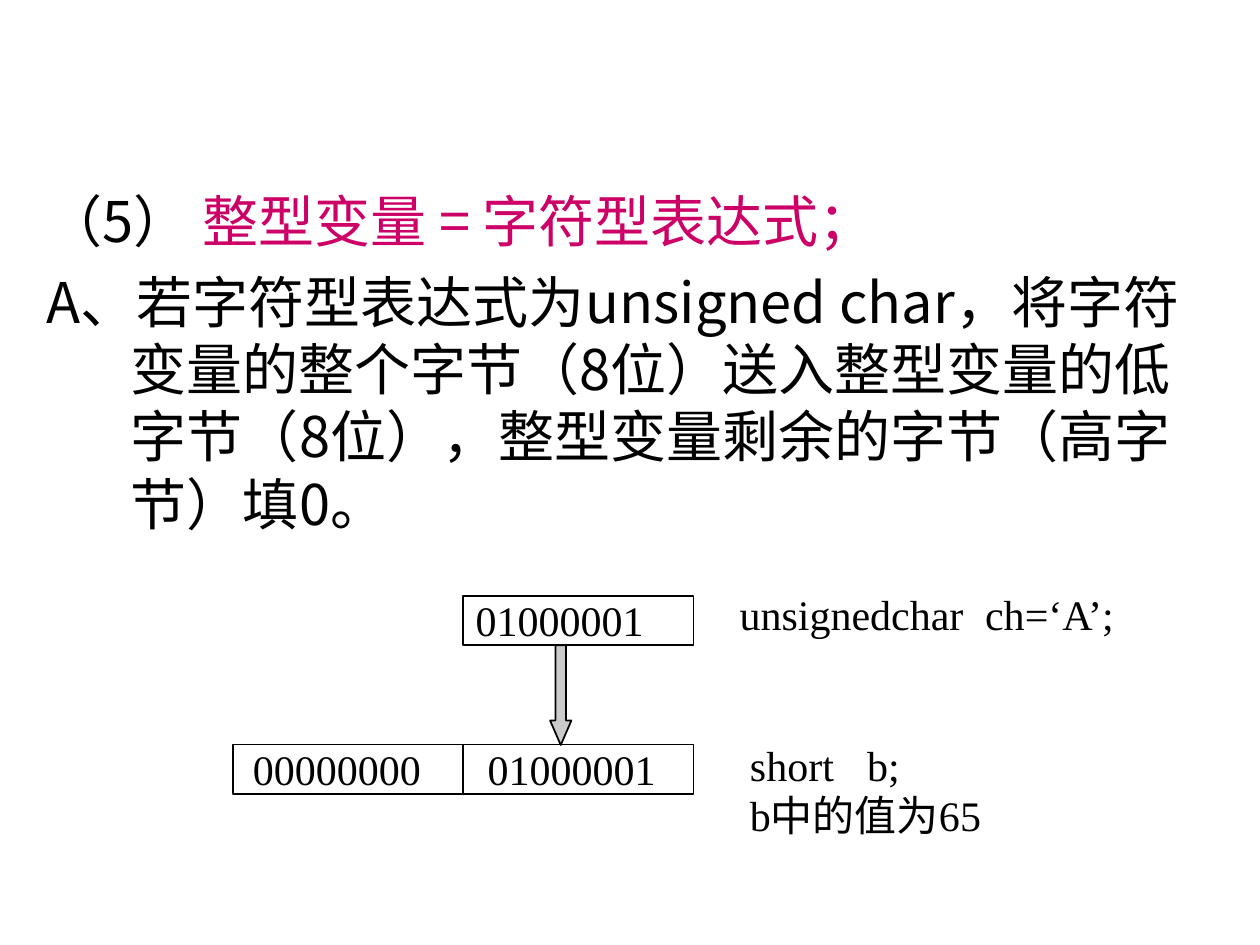
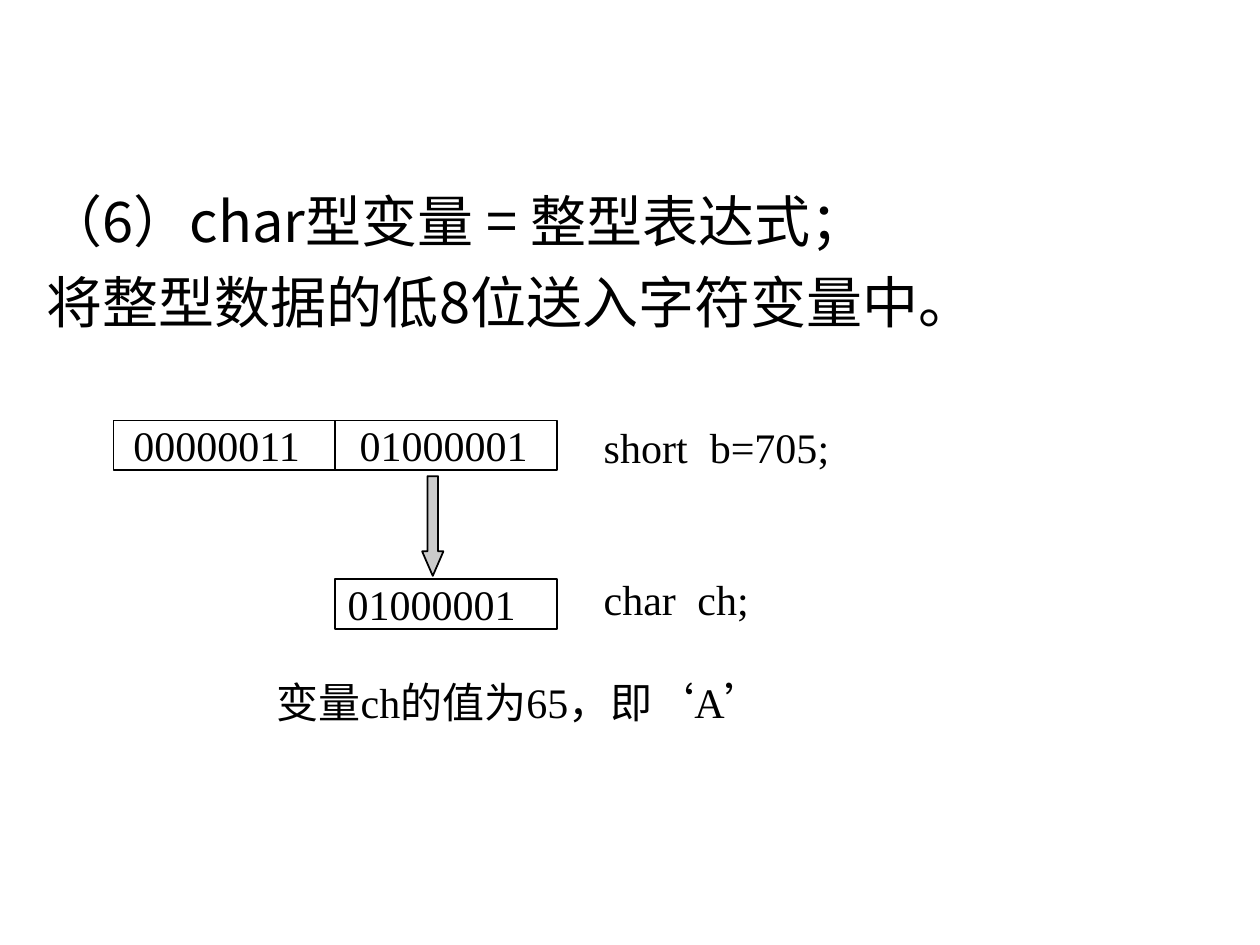
from lxml.etree import SubElement
from pptx import Presentation
from pptx.dml.color import RGBColor
from pptx.enum.shapes import MSO_CONNECTOR as Connector, MSO_SHAPE as Shape
from pptx.oxml.ns import qn
from pptx.util import Cm, Pt

BLACK, MAGENTA, GREY = "000000", "CC0066", "CBCBCB"
CJK_FONT, LATIN_FONT = "Noto Sans CJK SC", "Times New Roman"
CELL_HEIGHT = 1.0
ARROW_WIDTH, ARROW_HEIGHT = 0.43, 2.01


def color(value):
    return RGBColor.from_string(value)


def add_text(slide, text, left, top, width, height, *, size=24, font=LATIN_FONT,
             wrap=True, hanging=0, space_before=0, tab=None):
    """Text is a list of paragraphs, each a list of (words, colour) runs."""
    box = slide.shapes.add_textbox(Cm(left), Cm(top), Cm(width), Cm(height))
    frame = box.text_frame
    frame.word_wrap = wrap
    for index, runs in enumerate(text):
        paragraph = frame.paragraphs[0] if index == 0 else frame.add_paragraph()
        properties = paragraph._p.get_or_add_pPr()
        if hanging:
            properties.set("marL", str(Cm(hanging)))
            properties.set("indent", str(-Cm(hanging)))
        paragraph.line_spacing = Pt(size * 1.2)
        if index:
            paragraph.space_before = Pt(space_before)
        if tab:
            tabs = SubElement(properties, qn("a:tabLst"))
            SubElement(tabs, qn("a:tab"), pos=str(Cm(tab)), algn="l")
        for words, tint in runs:
            run = paragraph.add_run()
            run.text = words
            run.font.size = Pt(size)
            run.font.name = font
            run.font.color.rgb = color(tint)
            SubElement(run._r.get_or_add_rPr(), qn("a:ea"), typeface=CJK_FONT)
    return box


def add_rule(slide, text, width, height):
    """Assignment rule and its explanation at the top of a slide."""
    add_text(slide, text, 0.69, 3.63, width, height, size=32, font=CJK_FONT,
             hanging=1.7, space_before=8)


def add_label(slide, lines, left, top, tab):
    """Declaration beside a register; the tab aligns the variable name."""
    add_text(slide, [[(line, BLACK)] for line in lines],
             left, top, 9.6, 1.22 * len(lines), tab=tab)


def add_outlined(slide, kind, left, top, width, height, fill=None):
    shape = slide.shapes.add_shape(kind, Cm(left), Cm(top), Cm(width), Cm(height))
    shape.shadow.inherit = False
    shape.line.color.rgb = color(BLACK)
    shape.line.width = Pt(1)
    if fill:
        shape.fill.solid()
        shape.fill.fore_color.rgb = color(fill)
    else:
        shape.fill.background()
    return shape


def add_digits(slide, digits, left, top):
    add_text(slide, [[(digits, BLACK)]], left, top - 0.15, 4.3, 1.27)


def add_registers(slide, left, cell_width, word_top, byte_top, arrow_top, high, low):
    """Two-byte word, one byte aligned with its low half, and an arrow between."""
    middle = left + cell_width

    # Single byte
    add_outlined(slide, Shape.RECTANGLE, middle, byte_top, cell_width, CELL_HEIGHT)
    add_digits(slide, low, middle, byte_top)

    # Two-byte word with its divider
    add_outlined(slide, Shape.RECTANGLE, left, word_top, 2 * cell_width, CELL_HEIGHT)
    divider = slide.shapes.add_connector(
        Connector.STRAIGHT, Cm(middle), Cm(word_top), Cm(middle), Cm(word_top + CELL_HEIGHT))
    divider.line.color.rgb = color(BLACK)
    divider.line.width = Pt(1)
    SubElement(divider._element.spPr, qn("a:effectLst"))
    add_digits(slide, high, left + 0.15, word_top)
    add_digits(slide, low, middle + 0.24, word_top)

    # Direction of the copy
    arrow = add_outlined(slide, Shape.DOWN_ARROW, middle + 1.75, arrow_top,
                         ARROW_WIDTH, ARROW_HEIGHT, GREY)
    arrow.adjustments[0] = 0.5
    arrow.adjustments[1] = 1.15


def build_char_to_integer(slide):
    add_rule(slide, [
        [("（5） ", BLACK), ("整型变量 = 字符型表达式；", MAGENTA)],
        [("A、若字符型表达式为unsigned char，将字符变量的整个字节（8位）送入整型变量的"
          "低字节（8位），整型变量剩余的字节（高字节）填0。", BLACK)],
    ], 23.6, 7.39)
    add_registers(slide, left=4.7, cell_width=4.64, word_top=15.01, byte_top=12.01,
                  arrow_top=13.01, high="00000000", low="01000001")
    add_label(slide, ["unsignedchar\tch=‘A’;"], 14.66, 11.73, tab=4.95)
    add_label(slide, ["short\tb;", "b中的值为65"], 14.87, 14.78, tab=2.36)


def build_integer_to_char(slide):
    add_rule(slide, [
        [("（6）char型变量 = 整型表达式；", BLACK)],
        [("将整型数据的低8位送入字符变量中。", BLACK)],
    ], 24.71, 3.61)
    add_registers(slide, left=2.29, cell_width=4.47, word_top=8.48, byte_top=11.68,
                  arrow_top=9.6, high="00000011", low="01000001")
    add_label(slide, ["short\tb=705;"], 11.92, 8.38, tab=2.14)
    add_label(slide, ["char\tch;"], 11.92, 11.43, tab=1.89)
    add_text(slide, [[("变量ch的值为65，即‘A’", BLACK)]], 5.33, 13.51, 11.6, 1.27, wrap=False)


def main():
    presentation = Presentation()
    presentation.slide_width, presentation.slide_height = Cm(25.4), Cm(19.05)
    for build in (build_char_to_integer, build_integer_to_char):
        build(presentation.slides.add_slide(presentation.slide_layouts[6]))
    presentation.save("out.pptx")


if __name__ == "__main__":
    main()
